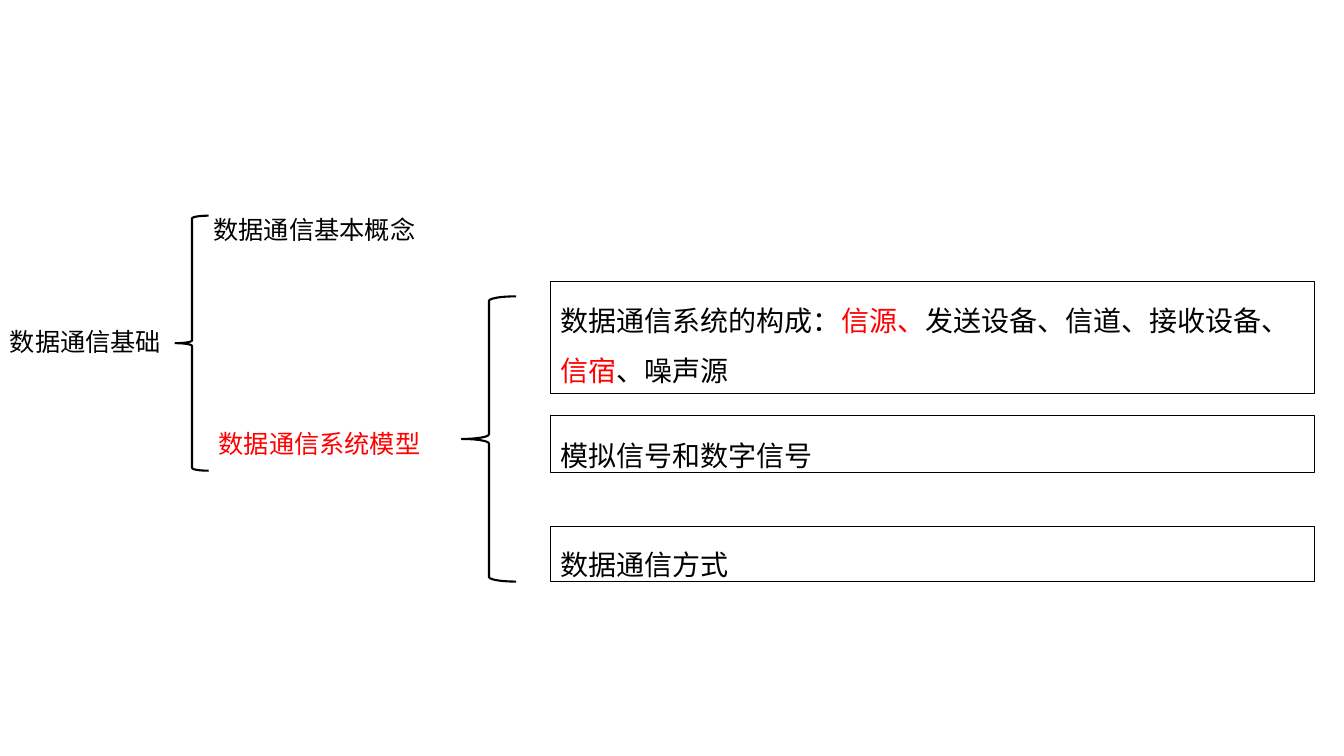
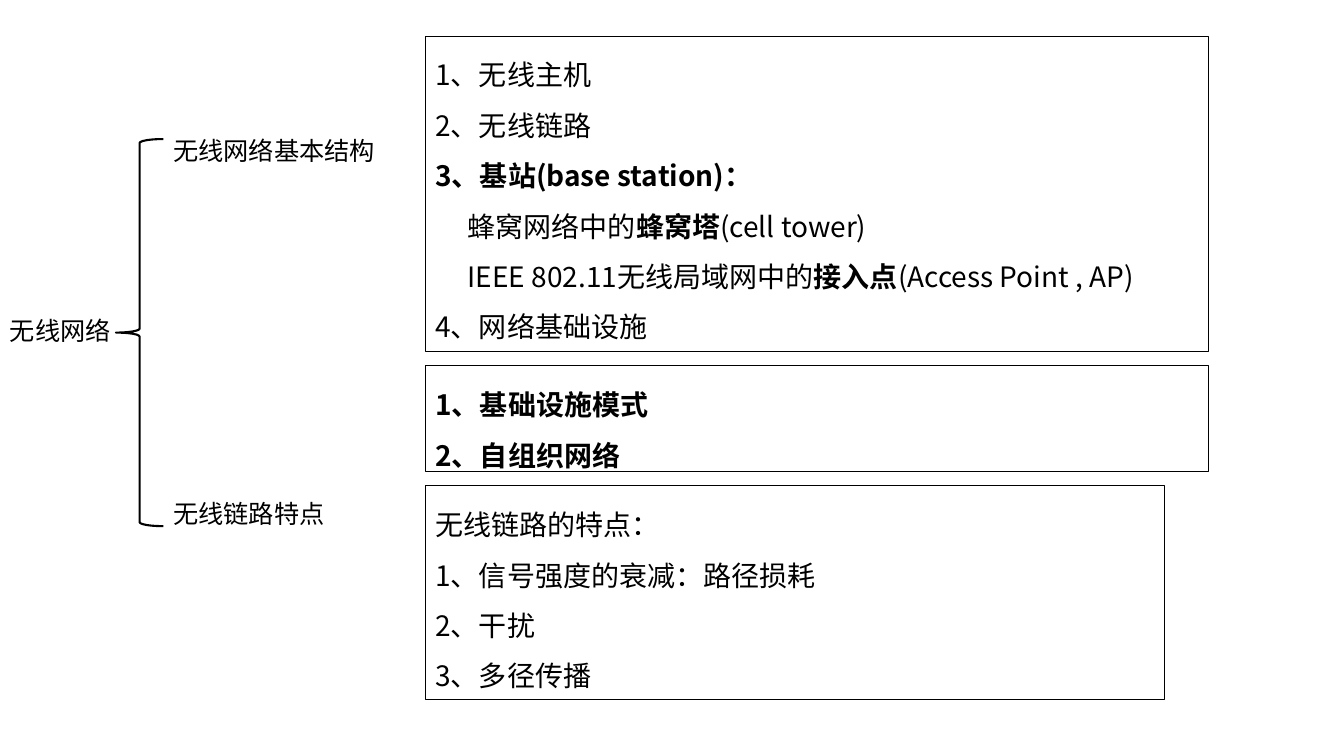
from lxml import etree
from pptx import Presentation
from pptx.dml.color import RGBColor
from pptx.enum import shapes, text
from pptx.oxml import ns
from pptx.util import Inches, Pt

FONT = "Noto Sans CJK SC"
BLACK = RGBColor(0x00, 0x00, 0x00)
RED = RGBColor(0xFF, 0x00, 0x00)
LABEL_HEIGHT = 0.4
STATION_INDENT = 0.32


def add_span(para, words, size=20, color=BLACK, bold=False):
    """Append formatted text to a paragraph."""
    span = para.add_run()
    span.text = words
    font = span.font
    font.name, font.size, font.bold = FONT, Pt(size), bold
    font.color.rgb = color
    east_asian = etree.SubElement(font._element, ns.qn("a:ea"))
    east_asian.set("typeface", FONT)


def add_label(page, words, left, top, width, color=BLACK):
    """Place a one-line branch label."""
    box = page.shapes.add_textbox(
        Inches(left), Inches(top), Inches(width), Inches(LABEL_HEIGHT))
    box.text_frame.word_wrap = True
    add_span(box.text_frame.paragraphs[0], words, size=18, color=color)


def add_outline(page, kind, left, top, width, height, weight):
    """Place an unfilled black outline shape."""
    shape = page.shapes.add_shape(
        kind, Inches(left), Inches(top), Inches(width), Inches(height))
    shape.shadow.inherit = False
    shape.fill.background()
    shape.line.color.rgb = BLACK
    shape.line.width = Pt(weight)
    return shape


def add_brace(page, left, top, width, height):
    """Place a left brace that opens a branch."""
    return add_outline(page, shapes.MSO_SHAPE.LEFT_BRACE,
                       left, top, width, height, 1.5)


def add_panel(page, lines, left, top, width, height, spacing=1.5, indents=()):
    """Place a framed panel whose lines are lists of (words, format) pairs."""
    panel = add_outline(page, shapes.MSO_SHAPE.RECTANGLE,
                        left, top, width, height, 0.75)
    frame = panel.text_frame
    frame.word_wrap = True
    frame.vertical_anchor = text.MSO_ANCHOR.TOP
    for index, line in enumerate(lines):
        para = frame.add_paragraph() if index else frame.paragraphs[0]
        para.alignment = text.PP_ALIGN.LEFT
        para.line_spacing = spacing
        if index in indents:
            para._p.get_or_add_pPr().set("marL", str(Inches(STATION_INDENT)))
        for words, style in line:
            add_span(para, words, **style)


def plain_lines(*lines, **style):
    """Turn plain strings into panel lines of one format."""
    return [[(words, style)] for words in lines]


def build_data_communication(page):
    """Draw the outline of data communication basics."""
    add_label(page, "数据通信基础", 0, 3.19, 1.74)
    add_brace(page, 1.74, 2.14, 0.33, 2.53)
    add_label(page, "数据通信基本概念", 2.02, 2.08, 2.37)
    add_label(page, "数据通信系统模型", 2.07, 4.2, 2.51, color=RED)
    add_brace(page, 4.58, 2.94, 0.54, 2.83)
    red = {"color": RED}
    composition = [[("数据通信系统的构成：", {}), ("信源、", red),
                    ("发送设备、信道、接收设备、", {}),
                    ("信宿", red), ("、噪声源", {})]]
    panels = [
        (composition, 2.79, 1.11, 1.5),
        (plain_lines("模拟信号和数字信号"), 4.12, 0.57, Pt(37)),
        (plain_lines("数据通信方式"), 5.22, 0.55, 1.5),
    ]
    for lines, top, height, spacing in panels:
        add_panel(page, lines, 5.46, top, 7.58, height, spacing)


def build_wireless_network(page):
    """Draw the outline of wireless networks."""
    add_label(page, "无线网络", 0, 3.08, 1.39)
    add_brace(page, 1.15, 1.38, 0.47, 3.84)
    for words, top in (("无线网络基本结构", 1.29), ("无线链路特点", 4.89)):
        add_label(page, words, 1.62, top, 2.5)
    bold = {"bold": True}
    structure = [
        *plain_lines("1、无线主机", "2、无线链路"),
        *plain_lines("3、基站(base station)：", **bold),
        [("蜂窝网络中的", {}), ("蜂窝塔", bold), ("(cell tower)", {})],
        [("IEEE 802.11无线局域网中的", {}), ("接入点", bold),
         ("(Access Point , AP)", {})],
        *plain_lines("4、网络基础设施"),
    ]
    modes = plain_lines("1、基础设施模式", "2、自组织网络", **bold)
    features = plain_lines("无线链路的特点：", "1、信号强度的衰减：路径损耗",
                           "2、干扰", "3、多径传播")
    add_panel(page, structure, 4.22, 0.36, 7.77, 3.13, indents=(3, 4))
    add_panel(page, modes, 4.22, 3.63, 7.77, 1.05)
    add_panel(page, features, 4.22, 4.82, 7.33, 2.12)


def main():
    """Build and save the deck."""
    deck = Presentation()
    deck.slide_width, deck.slide_height = Inches(13.33), Inches(7.5)
    blank = deck.slide_layouts[6]
    for build in (build_data_communication, build_wireless_network):
        build(deck.slides.add_slide(blank))
    deck.save("out.pptx")


if __name__ == "__main__":
    main()
